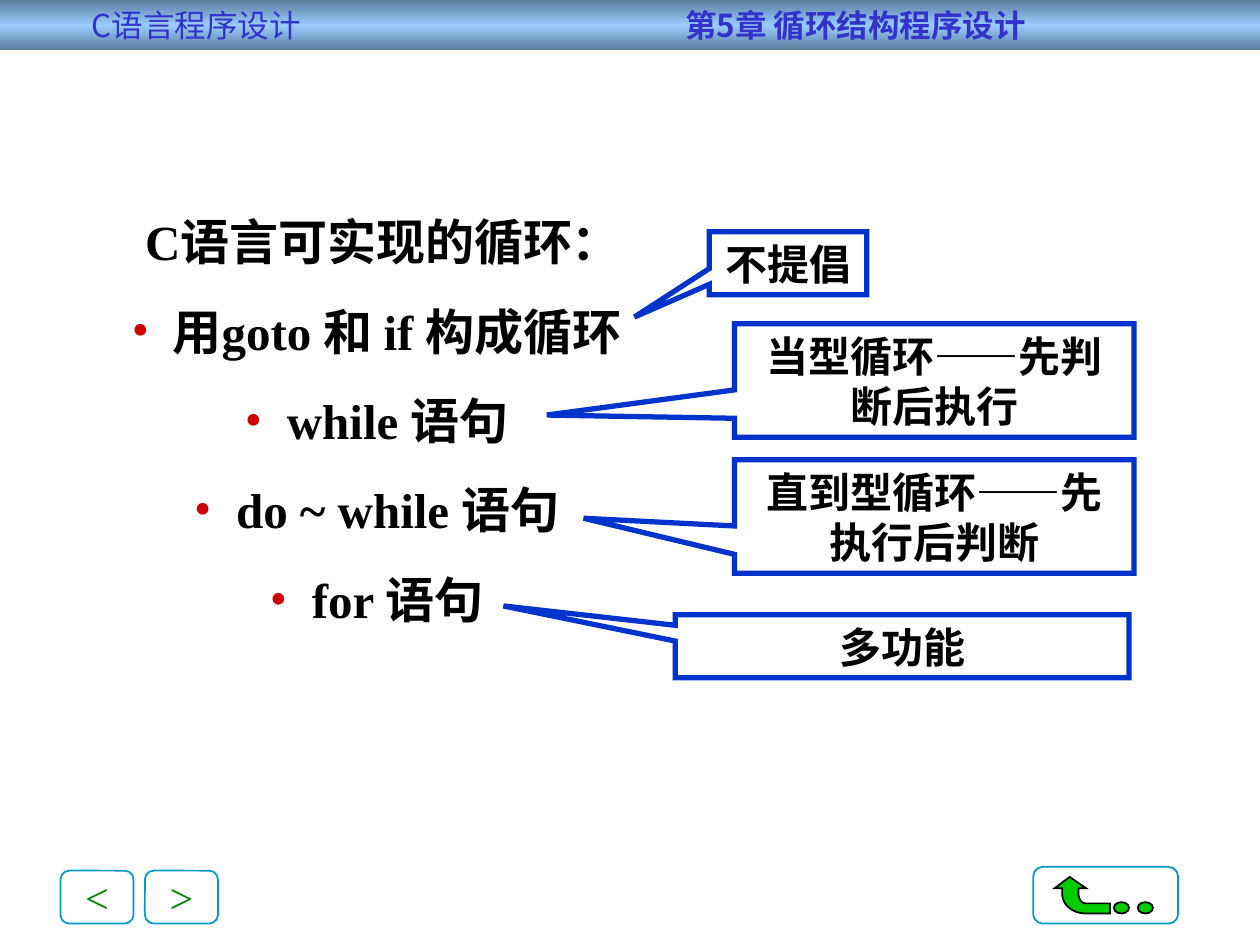
from copy import deepcopy

from lxml import etree
from pptx import Presentation, util as u
from pptx.dml import color
from pptx.enum import shapes, text
from pptx.oxml import ns

COLORS = {
    "header_edge": "5D7C9B", "header_middle": "99CCFF", "header_text": "3333CC",
    "button_line": "0099CC", "button_text": "008000", "arrow": "00CC00",
    "callout_line": "0033CC", "bullet": "CC0000", "white": "FFFFFF", "black": "000000",
}
HEADER_FONT = "Noto Sans CJK SC"
BODY_FONT = "Times New Roman"


def rgb(name):
    return color.RGBColor.from_string(COLORS[name])


def style(shape, fill, line, width):
    shape.shadow.inherit = False
    if fill:
        shape.fill.solid()
        shape.fill.fore_color.rgb = rgb(fill)
    else:
        shape.fill.background()
    shape.line.color.rgb = rgb(line)
    shape.line.width = u.Pt(width)
    outline_xml = shape._element.spPr.find(ns.qn("a:ln"))
    etree.SubElement(outline_xml, ns.qn("a:miter"), lim="800000")


presentation = Presentation()
presentation.slide_width, presentation.slide_height = u.Inches(10), u.Inches(7.5)
slide = presentation.slides.add_slide(presentation.slide_layouts[6])
preset = shapes.MSO_SHAPE

# Header band, dark at both edges and light in the middle
header = slide.shapes.add_shape(preset.RECTANGLE, 0, 0, u.Inches(10), u.Inches(0.4))
header.shadow.inherit = False
header.line.fill.background()
header.fill.gradient()
header.fill.gradient_angle = 90
first_stop, last_stop = header.fill.gradient_stops
for stop, position, name in ((first_stop, 0, "header_edge"), (last_stop, 0.5, "header_middle")):
    stop.color.rgb = rgb(name)
    stop.position = position
stop_list = header.fill._fill._gradFill.find(ns.qn("a:gsLst"))
end_stop = deepcopy(stop_list[0])
end_stop.set("pos", "100000")
stop_list.append(end_stop)

# Header text: course and chapter, each at its own tab stop
header.text_frame.vertical_anchor = text.MSO_ANCHOR.MIDDLE
paragraph = header.text_frame.paragraphs[0]
paragraph.alignment = text.PP_ALIGN.LEFT
tabs = etree.SubElement(paragraph._p.get_or_add_pPr(), ns.qn("a:tabLst"))
for position in (0.63, 5.34):
    etree.SubElement(tabs, ns.qn("a:tab"), pos=str(u.Inches(position)), algn="l")
for wording, bold in (("\tC语言程序设计\t", False), ("第5章 循环结构程序设计", True)):
    run = paragraph.add_run()
    run.text = wording
    for key, value in {"name": HEADER_FONT, "size": u.Pt(18), "bold": bold}.items():
        setattr(run.font, key, value)
    run.font.color.rgb = rgb("header_text")
    etree.SubElement(run._r.get_or_add_rPr(), ns.qn("a:ea"), typeface=HEADER_FONT)

# Navigation buttons
for left, top, width, height, label in (
    (0.48, 6.91, 0.58, 0.42, "<"),
    (1.15, 6.91, 0.58, 0.42, ">"),
    (8.2, 6.88, 1.15, 0.45, ""),
):
    button = slide.shapes.add_shape(
        preset.ROUNDED_RECTANGLE, *map(u.Inches, (left, top, width, height)))
    style(button, None, "button_line", 1)
    if label:
        button.text_frame.word_wrap = False
        button.text_frame.text = label
        paragraph = button.text_frame.paragraphs[0]
        paragraph.alignment = text.PP_ALIGN.CENTER
        paragraph.font.name, paragraph.font.size = BODY_FONT, u.Pt(24)
        paragraph.font.color.rgb = rgb("button_text")

# Return arrow: the two bends are Bezier curves sampled in steps
outline = [(8.49, 6.96), (8.37, 7.05), (8.43, 7.05)]
bends = (
    ((8.43, 7.09), (8.43, 7.18), (8.51, 7.25), (8.62, 7.25)),
    ((8.62, 7.17), (8.58, 7.17), (8.56, 7.13), (8.56, 7.09)),
)
for bend, straight in zip(bends, ([(8.81, 7.25), (8.81, 7.17)], [(8.56, 7.05), (8.62, 7.05)])):
    for step in range(13):
        t = step / 12
        weights = ((1 - t) ** 3, 3 * t * (1 - t) ** 2, 3 * t * t * (1 - t), t ** 3)
        outline.append(tuple(sum(w * point[axis] for w, point in zip(weights, bend))
                             for axis in (0, 1)))
    outline += straight
points = [(u.Inches(x), u.Inches(y)) for x, y in outline]
builder = slide.shapes.build_freeform(*points[0])
builder.add_line_segments(points[1:], close=True)
style(builder.convert_to_shape(), "arrow", "black", 1)
for left in (8.84, 9.03):
    dot = slide.shapes.add_shape(preset.OVAL, *map(u.Inches, (left, 7.16, 0.12, 0.09)))
    style(dot, "arrow", "black", 1)

# Heading and bulleted list of loops
body = slide.shapes.add_textbox(*map(u.Inches, (0.75, 1.63, 4.58, 3.41))).text_frame
body.word_wrap = True
for index, wording in enumerate((
    "C语言可实现的循环：", " 用goto 和 if 构成循环", " while 语句", " do ~ while 语句", " for 语句",
)):
    paragraph = body.add_paragraph() if index else body.paragraphs[0]
    paragraph.text = wording
    paragraph.alignment = text.PP_ALIGN.CENTER
    if index:
        paragraph.space_before = u.Pt(17.5)
        properties = paragraph._p.get_or_add_pPr()
        properties.set("marL", str(u.Inches(0.1)))
        bullet_color = etree.SubElement(properties, ns.qn("a:buClr"))
        etree.SubElement(bullet_color, ns.qn("a:srgbClr"), val=COLORS["bullet"])
        etree.SubElement(properties, ns.qn("a:buFont"), typeface=BODY_FONT)
        etree.SubElement(properties, ns.qn("a:buChar"), char="•")
    for key, value in {"name": BODY_FONT, "size": u.Pt(28), "bold": True}.items():
        setattr(paragraph.font, key, value)
    paragraph.font.color.rgb = rgb("black")

# Callouts: place, pointer tip and wording
for place, tip, wording in (
    ((5.63, 1.84, 1.25, 0.5), (-0.976, 0.853), "不提倡"),
    ((5.83, 2.57, 3.17, 0.9), (-0.97, 0.305), "当型循环——先判断后执行"),
    ((5.83, 3.65, 3.17, 0.9), (-0.878, 0.015), "直到型循环——先执行后判断"),
    ((5.36, 4.88, 3.6, 0.5), (-0.879, -0.641), "多功能"),
):
    callout = slide.shapes.add_shape(preset.RECTANGULAR_CALLOUT, *map(u.Inches, place))
    style(callout, "white", "callout_line", 3)
    callout.adjustments[0], callout.adjustments[1] = tip
    callout.text_frame.text = wording
    paragraph = callout.text_frame.paragraphs[0]
    paragraph.alignment = text.PP_ALIGN.CENTER
    for key, value in {"name": BODY_FONT, "size": u.Pt(24), "bold": True}.items():
        setattr(paragraph.font, key, value)
    paragraph.font.color.rgb = rgb("black")

presentation.save("out.pptx")
